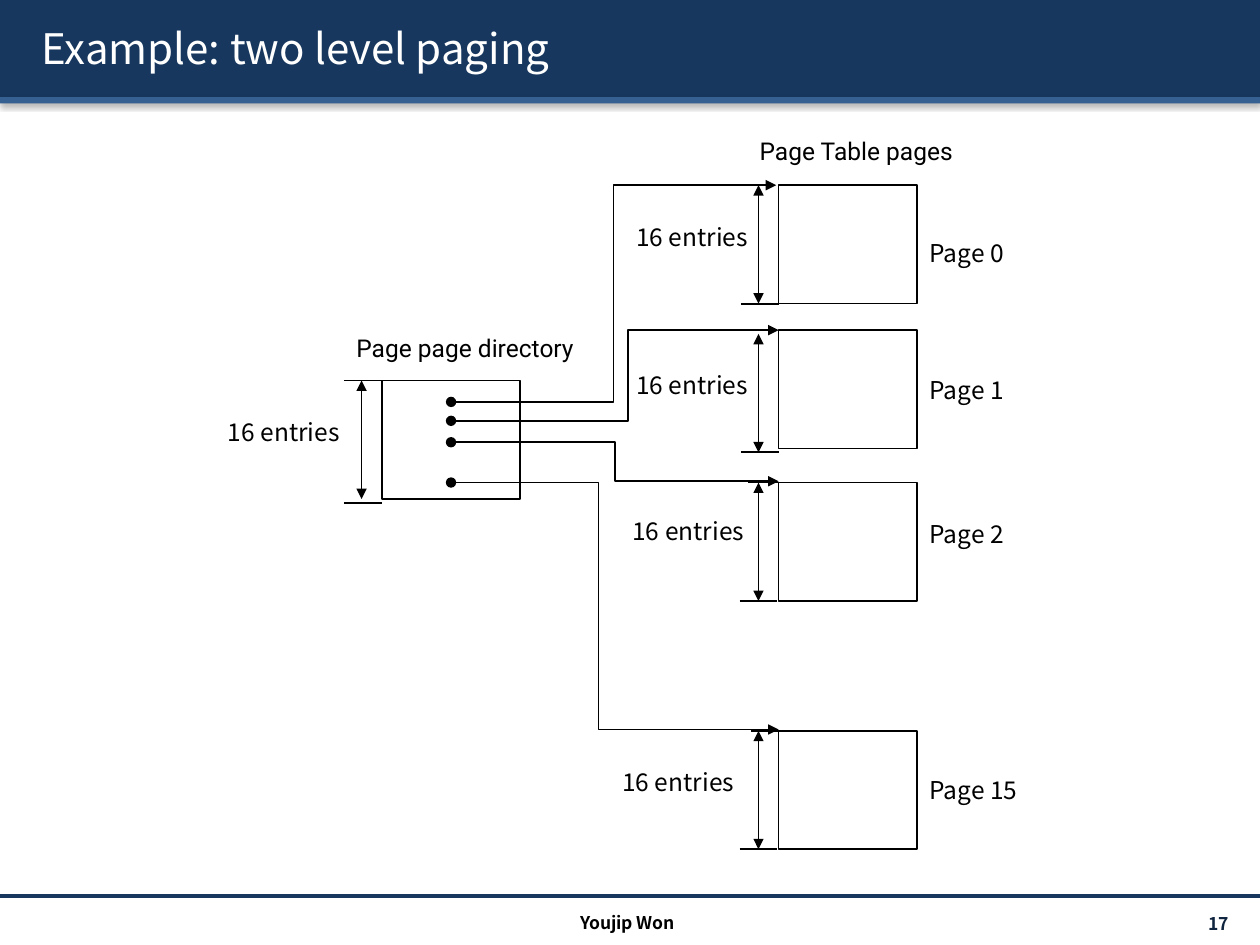
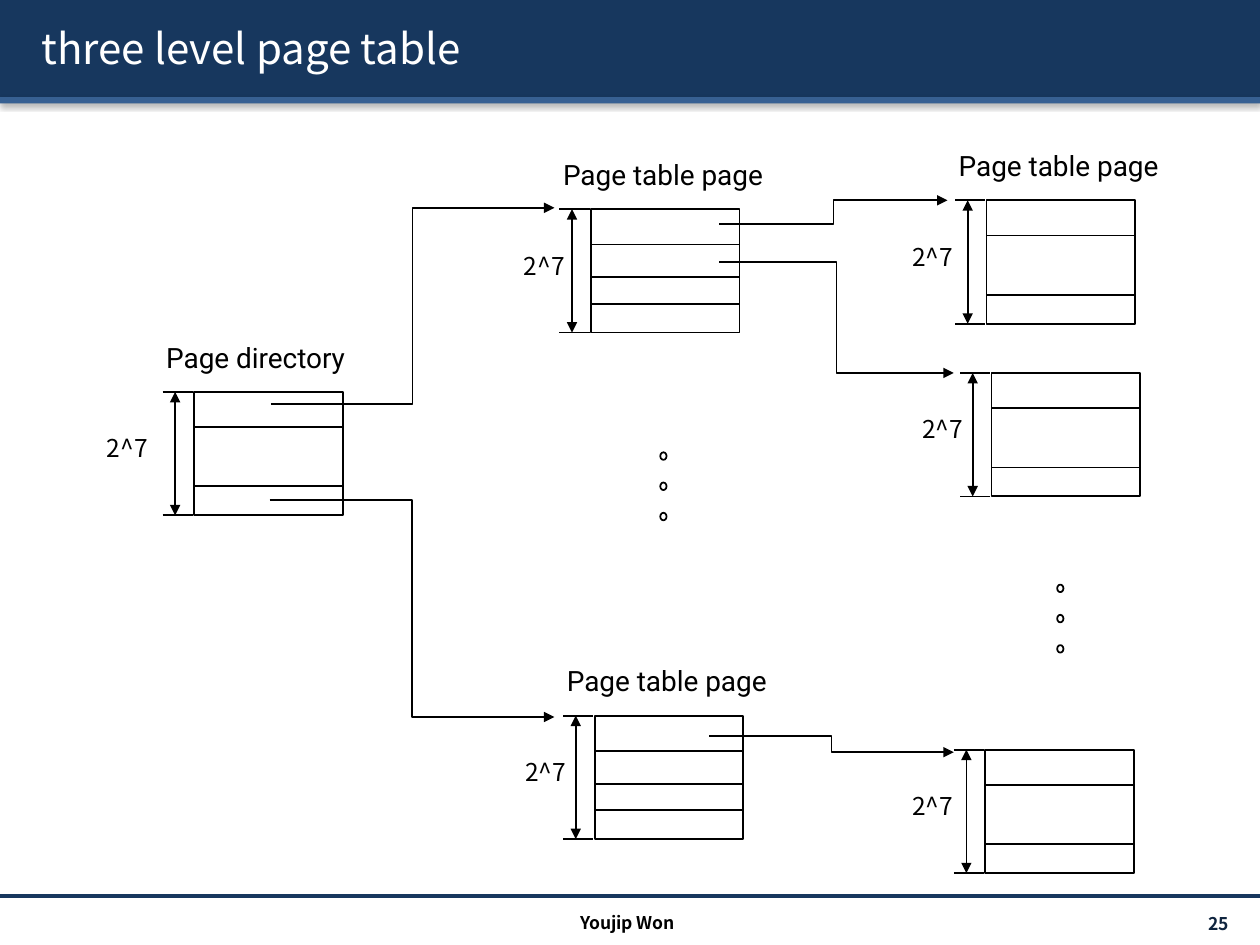
from lxml import etree
from pptx import Presentation
from pptx import util as u
from pptx.dml.color import RGBColor
from pptx.enum import shapes as sh, text as tx
from pptx.oxml import parse_xml
from pptx.oxml.ns import nsdecls, qn

HUES = {"band": "17375E", "strip": "376092", "page": "0F243E",
        "ink": "000000", "paper": "FFFFFF"}
SANS, ROBOTO = "Noto Sans CJK KR", "Roboto"


def hue(name):
    return RGBColor.from_string(HUES[name])


def effect(blur, dist, angle, alpha):
    """Build an outer shadow; blur and dist in points, alpha in percent."""
    return parse_xml(
        f'<a:effectLst {nsdecls("a")}><a:outerShdw blurRad="{u.Pt(blur)}" '
        f'dist="{u.Pt(dist)}" dir="{angle * 60000}" algn="ctr" rotWithShape="0">'
        f'<a:srgbClr val="{HUES["ink"]}"><a:alpha val="{alpha * 1000}"/>'
        '</a:srgbClr></a:outerShdw></a:effectLst>')


def form(slide, kind, x, y, w, h, fill="paper", line="ink"):
    shape = slide.shapes.add_shape(kind, *map(u.Inches, (x, y, w, h)))
    shape.shadow.inherit = False
    if fill:
        shape.fill.solid()
        shape.fill.fore_color.rgb = hue(fill)
    else:
        shape.fill.background()
    if line:
        shape.line.color.rgb = hue(line)
        shape.line.width = u.Pt(1)
    else:
        shape.line.fill.background()
    return shape


def rect(slide, *args, **keys):
    return form(slide, sh.MSO_SHAPE.RECTANGLE, *args, **keys)


def label(slide, words, x, y, w, h=0.34, size=14, font=SANS, color="ink",
          bold=False, align=tx.PP_ALIGN.LEFT, anchor=tx.MSO_ANCHOR.TOP):
    box = slide.shapes.add_textbox(*map(u.Inches, (x, y, w, h)))
    frame = box.text_frame
    frame.word_wrap = True
    frame.vertical_anchor = anchor
    para = frame.paragraphs[0]
    para.alignment = align
    run = para.add_run()
    run.text = words
    run.font.size = u.Pt(size)
    run.font.name = font
    run.font.bold = bold
    run.font.color.rgb = hue(color)
    return run


def wire(slide, start, end, head=None, tail=None, bend=None,
         color="ink", width=1):
    """Draw a straight line, or an elbow that turns at the share bend."""
    kind = sh.MSO_CONNECTOR.ELBOW if bend else sh.MSO_CONNECTOR.STRAIGHT
    link = slide.shapes.add_connector(kind, *map(u.Inches, (*start, *end)))
    link.line.color.rgb = hue(color)
    link.line.width = u.Pt(width)
    props = link._element.spPr
    for tag, tip in (("a:headEnd", head), ("a:tailEnd", tail)):
        if tip:
            etree.SubElement(link.line._get_or_add_ln(), qn(tag), type=tip)
    etree.SubElement(props, qn("a:effectLst"))
    if bend:
        guides = props.find(qn("a:prstGeom")).get_or_add_avLst()
        etree.SubElement(guides, qn("a:gd"), name="adj1",
                         fmla=f"val {round(bend * 100000)}")


def tick(slide, x, y, w):
    wire(slide, (x, y), (x + w, y))


def span(slide, x, top, end):
    wire(slide, (x, top), (x, end), head="triangle", tail="triangle")


def base(deck, title, number):
    """Add a slide with the bands, title and footer that all slides share."""
    slide = deck.slides.add_slide(deck.slide_layouts[6])
    for y, h, fill in ((0, 0.77, "band"), (0.77, 0.05, "strip")):
        band = rect(slide, 0, y, 10, h, fill=fill, line=None)
        props = band._element.spPr
        props.replace(props.find(qn("a:effectLst")), effect(3.1, 1.6, 90, 38))
    wire(slide, (0, 7.11), (10, 7.11), color="band", width=2)
    mid = tx.MSO_ANCHOR.MIDDLE
    run = label(slide, title, 0.23, 0.06, 9.61, 0.64, size=24,
                color="paper", anchor=mid)
    fill = run._r.get_or_add_rPr().find(qn("a:solidFill"))
    fill.addnext(effect(0, 2, 45, 100))
    label(slide, str(number), 8.68, 7.21, 1.17, 0.24, size=10, color="page",
          bold=True, align=tx.PP_ALIGN.RIGHT, anchor=mid)
    label(slide, "Youjip Won", 3.32, 7.2, 3.32, 0.24, size=10, bold=True,
          align=tx.PP_ALIGN.CENTER, anchor=mid)
    return slide


def two_level(deck):
    slide = base(deck, "Example: two level paging", 17)
    wide, tall, tab = 1.1, 0.94, 0.3
    # box y, name, name y, count x, count y, top tick x, low tick x, shift
    pages = [
        (1.47, "Page 0", 1.84, 4.95, 1.71, 5.8, 5.88, 0),
        (2.62, "Page 1", 2.93, 4.95, 2.89, None, 5.88, 0.03),
        (3.83, "Page 2", 4.07, 4.92, 4.05, 5.94, 5.87, 0),
        (5.8, "Page 15", 6.1, 4.84, 6.04, 5.96, 5.87, 0),
    ]
    for y, name, name_y, num_x, num_y, top_x, low_x, shift in pages:
        rect(slide, 6.18, y, wide, tall)
        label(slide, name, 7.28, name_y, 1.1)
        if top_x:
            tick(slide, top_x, y, tab)
        tick(slide, low_x, y + tall + shift, tab)
        span(slide, 6.02, y + shift, y + tall + shift)
        label(slide, "16 entries", num_x, num_y, 1.31)
    label(slide, "Page Table pages", 5.93, 1.03, 2.18, font=ROBOTO)

    rect(slide, 3.03, 3.02, wide, tall)
    label(slide, "Page page directory", 2.73, 2.59, 2.18, font=ROBOTO)
    for y in (3.02, 3.99):
        tick(slide, 2.73, y, tab)
    span(slide, 2.87, 3.02, 3.96)
    label(slide, "16 entries", 1.71, 3.26, 1.17)

    for y, end, bend in ((3.19, (6.16, 1.47), 0.5), (3.34, (6.18, 2.62), 0.54),
                         (3.51, (6.18, 3.82), 0.5), (3.83, (6.18, 5.79), 0.45)):
        wire(slide, (3.58, y), end, head="oval", tail="triangle", bend=bend)


def table(slide, x, y, num_x, rows, title=None):
    """Draw a page outline with rules at the offsets rows and its size mark."""
    wide, tall = 1.18, 0.98
    rect(slide, x, y, wide, tall, fill=None)
    for row in rows:
        tick(slide, x, y + row, wide)
    for edge in (y, y + tall):
        tick(slide, x - 0.25, edge, 0.24)
    span(slide, x - 0.15, y, y + tall)
    label(slide, "2^7", num_x, y + 0.28, 0.54)
    if title:
        label(slide, title, x - 0.32, y - 0.46, 1.89, 0.37, size=16,
              font=ROBOTO)


def dots(slide, x, y):
    for step in range(3):
        form(slide, sh.MSO_SHAPE.OVAL, x, y + step * 0.24, 0.05, 0.06)


def three_level(deck):
    slide = base(deck, "three level page table", 25)
    three, four = (0.28, 0.75), (0.28, 0.54, 0.75)
    page = "Page table page"
    for item in ((1.54, 3.11, 0.75, three, "Page directory"),
                 (4.69, 1.66, 4.06, four, page),
                 (4.72, 5.68, 4.07, four, page),
                 (7.83, 1.59, 7.14, three, page),
                 (7.87, 2.96, 7.22, three),
                 (7.82, 5.95, 7.14, three)):
        table(slide, *item)
    for start, end in (((2.15, 3.21), (4.4, 1.65)), ((2.14, 3.97), (4.4, 5.69)),
                       ((5.71, 1.78), (7.52, 1.59)), ((5.71, 2.08), (7.57, 2.96)),
                       ((5.63, 5.84), (7.57, 5.97))):
        wire(slide, start, end, tail="triangle", bend=0.5)
    dots(slide, 5.24, 3.59)
    dots(slide, 8.39, 4.64)


def main():
    deck = Presentation()
    deck.slide_width, deck.slide_height = u.Inches(10), u.Inches(7.5)
    two_level(deck)
    three_level(deck)
    deck.save("out.pptx")


if __name__ == "__main__":
    main()
